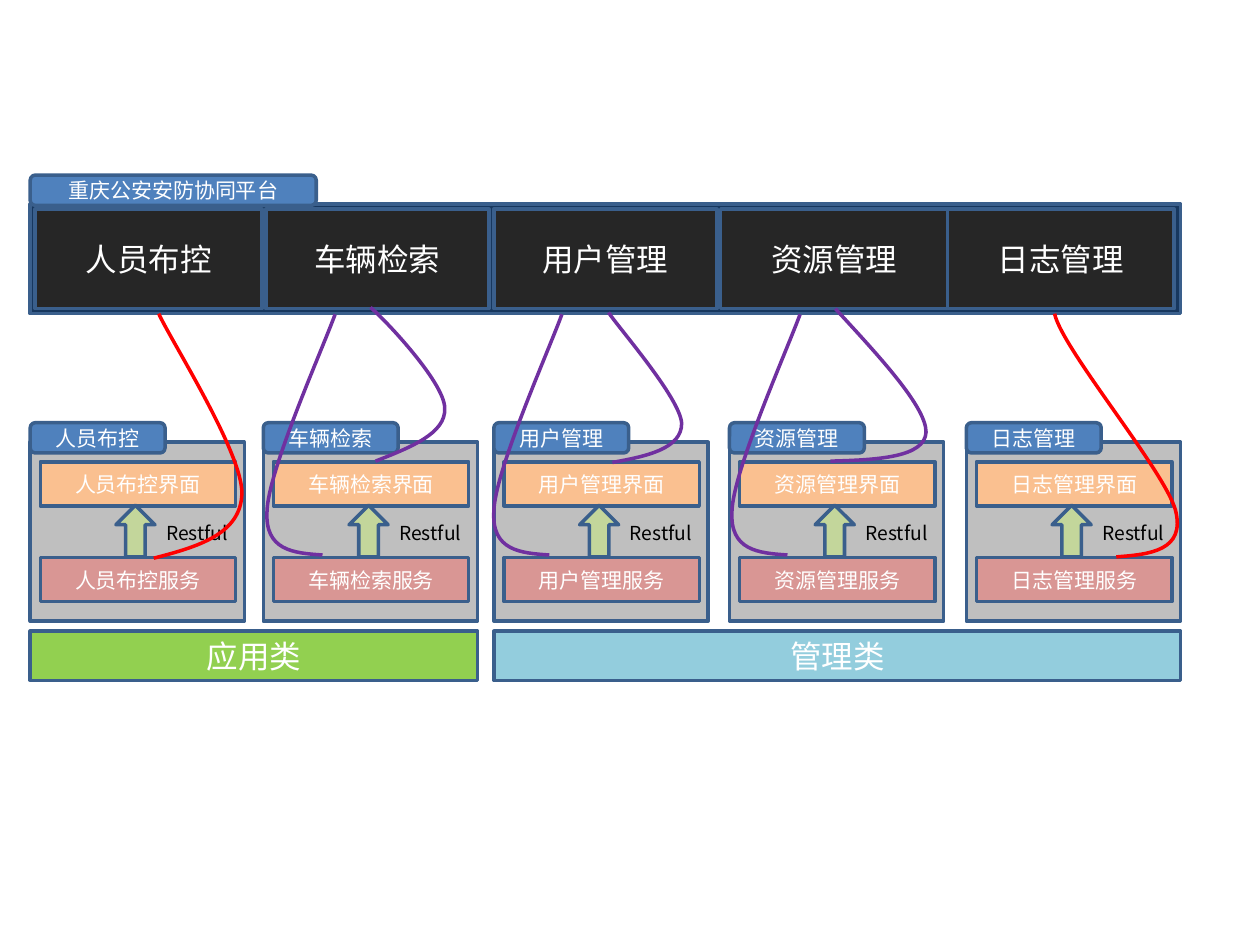
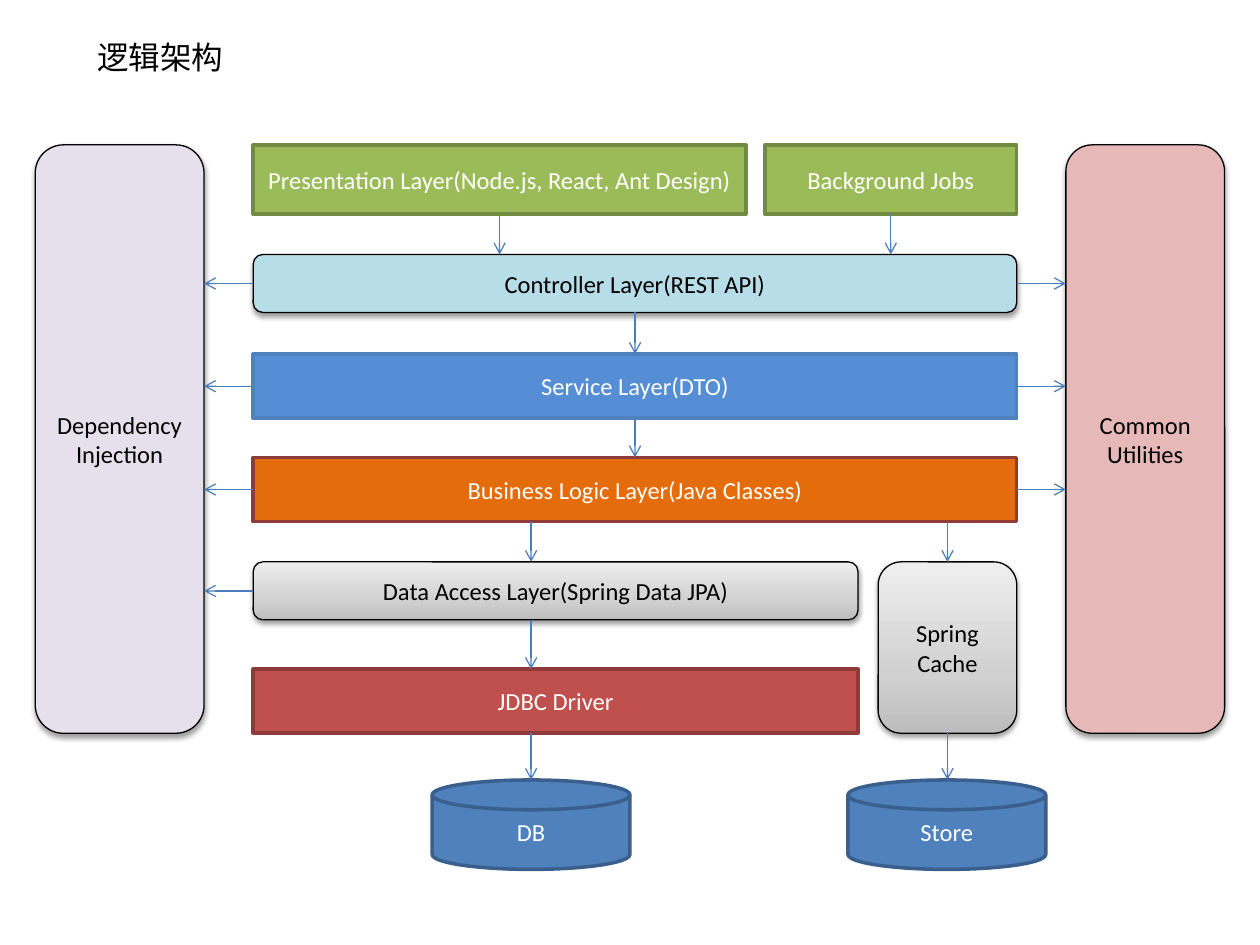
import dataclasses
import typing

import lxml.etree
import pptx
import pptx.dml.color
import pptx.enum.shapes
import pptx.enum.text
import pptx.oxml.ns
import pptx.slide
import pptx.util

SHAPES = pptx.enum.shapes.MSO_SHAPE
ALIGN = pptx.enum.text.PP_ALIGN
ANCHOR = pptx.enum.text.MSO_ANCHOR
qn = pptx.oxml.ns.qn

# The slide is a grid of 100 columns by 75 rows of square cells.
SLIDE_WIDTH = pptx.util.Inches(10)
SLIDE_HEIGHT = pptx.util.Inches(7.5)
CELL = SLIDE_WIDTH / 100

CHINESE_FONT = "Noto Sans CJK SC"
LATIN_FONT = "Calibri"
LAYOUT_TITLE_ONLY, LAYOUT_BLANK = 5, 6

COLORS = {
    "white": "FFFFFF", "black": "000000", "blue": "4F81BD", "border": "3A5F8C",
    "navy": "17375E", "tile": "262626", "card": "BFBFBF", "service": "D99694",
    "interface": "FAC090", "arrow": "C3D69B", "application": "92D050",
    "management": "93CDDD", "red": "FF0000", "purple": "7030A0",
    "green": "9BBB59", "dark_green": "738A42", "aqua": "B7DEE8",
    "bright_blue": "558ED5", "orange": "E46C0A", "brick": "C0504D",
    "dark_red": "8E3B39", "lavender": "E6E0EC", "pink": "E6B9B8",
    "connector": "4B7EBC",
}
GRAY_GRADIENT = ((0, "BDBDBD"), (35, "D1D1D1"), (100, "EEEEEE"))

Point = tuple[float, float]


@dataclasses.dataclass(frozen=True)
class Box:
    left: float
    top: float
    width: float
    height: float

    @property
    def right(self) -> float:
        return self.left + self.width

    @property
    def bottom(self) -> float:
        return self.top + self.height

    @property
    def center(self) -> float:
        return self.left + self.width / 2

    @property
    def middle(self) -> float:
        return self.top + self.height / 2

    def moved(self, columns: float) -> "Box":
        return dataclasses.replace(self, left=self.left + columns)


@dataclasses.dataclass(frozen=True)
class Style:
    """Look of a block; without a fill colour it gets the gray gradient."""
    fill: typing.Optional[str]
    line: str = "border"
    text: str = "white"
    size: float = 12
    font: str = CHINESE_FONT
    line_width: float = 2
    raised: bool = False
    geometry: SHAPES = SHAPES.FLOWCHART_PROCESS


def layer_style(fill: str, line: str, geometry: SHAPES = SHAPES.RECTANGLE) -> Style:
    return Style(fill, line, size=14, font=LATIN_FONT, geometry=geometry)


def raised_style(fill: typing.Optional[str]) -> Style:
    return Style(fill, "black", "black", 14, LATIN_FONT, 0.75, True, SHAPES.ROUNDED_RECTANGLE)


def cells(value: float) -> pptx.util.Emu:
    return pptx.util.Emu(round(value * CELL))


def rgb(name: str) -> pptx.dml.color.RGBColor:
    return pptx.dml.color.RGBColor.from_string(COLORS[name])


def place(box: Box) -> list[pptx.util.Emu]:
    return [cells(value) for value in dataclasses.astuple(box)]


def add_element(parent, tag: str, **attributes):
    values = {name: str(value) for name, value in attributes.items()}
    return lxml.etree.SubElement(parent, qn(tag), values)


def write(frame, text: str, style: Style, alignment: ALIGN) -> None:
    for index, line in enumerate(text.split("\n")):
        paragraph = frame.add_paragraph() if index else frame.paragraphs[0]
        paragraph.alignment = alignment
        run = paragraph.add_run()
        run.text = line
        run.font.size = pptx.util.Pt(style.size)
        run.font.color.rgb = rgb(style.text)
        run.font.name = style.font
        add_element(run.font._element, "a:ea", typeface=CHINESE_FONT)


def fill_with_gradient(shape) -> None:
    shape.fill.gradient()
    shape.fill.gradient_angle = 90
    stops = shape.element.spPr.find(qn("a:gradFill")).find(qn("a:gsLst"))
    for stop in list(stops):
        stops.remove(stop)
    for percent, color in GRAY_GRADIENT:
        stop = add_element(stops, "a:gs", pos=percent * 1000)
        add_element(stop, "a:srgbClr", val=color)


def add_shadow(shape) -> None:
    effects = shape.element.spPr.find(qn("a:effectLst"))
    shadow = add_element(effects, "a:outerShdw", blurRad=pptx.util.Pt(3.1),
                         dist=pptx.util.Pt(1.6), dir=90 * 60000, rotWithShape=0)
    color = add_element(shadow, "a:srgbClr", val=COLORS["black"])
    add_element(color, "a:alpha", val=38000)


def add_block(slide: pptx.slide.Slide, box: Box, style: Style, text: str = "") -> None:
    shape = slide.shapes.add_shape(style.geometry, *place(box))
    shape.shadow.inherit = False
    if style.fill is None:
        fill_with_gradient(shape)
    else:
        shape.fill.solid()
        shape.fill.fore_color.rgb = rgb(style.fill)
    shape.line.color.rgb = rgb(style.line)
    shape.line.width = pptx.util.Pt(style.line_width)
    if style.raised:
        add_shadow(shape)
    if text:
        shape.text_frame.word_wrap = True
        shape.text_frame.vertical_anchor = ANCHOR.MIDDLE
        write(shape.text_frame, text, style, ALIGN.CENTER)


def add_label(slide: pptx.slide.Slide, box: Box, text: str, style: Style) -> None:
    label = slide.shapes.add_textbox(*place(box))
    label.text_frame.word_wrap = False
    write(label.text_frame, text, style, ALIGN.LEFT)


def add_curve(slide: pptx.slide.Slide, color: str, points: typing.Sequence[Point]) -> None:
    """Draw a Bezier curve: a start, then two controls and an end per segment."""
    start, *others = [(cells(x), cells(y)) for x, y in points]
    builder = slide.shapes.build_freeform(*start, scale=1.0)
    builder.add_line_segments(others, close=False)
    curve = builder.convert_to_shape()
    curve.shadow.inherit = False
    curve.fill.background()
    curve.line.color.rgb = rgb(color)
    curve.line.width = pptx.util.Pt(2)
    outline = next(curve.element.iter(qn("a:path")))
    segments = outline.findall(qn("a:lnTo"))
    for first in range(0, len(segments), 3):
        bezier = add_element(outline, "a:cubicBezTo")
        for segment in segments[first:first + 3]:
            bezier.append(segment[0])
            outline.remove(segment)


def add_arrow(slide: pptx.slide.Slide, start: Point, end: Point) -> None:
    connector = slide.shapes.add_connector(
        pptx.enum.shapes.MSO_CONNECTOR.STRAIGHT, *[cells(value) for value in (*start, *end)])
    connector.line.color.rgb = rgb("connector")
    connector.line.width = pptx.util.Pt(0.75)
    properties = connector.element.spPr
    add_element(properties.find(qn("a:ln")), "a:tailEnd", type="arrow")
    add_element(properties, "a:effectLst")


# Modules of the platform: name, card left, tile left, tile width
MODULES = (
    ("人员布控", 2.4, 2.8, 18),
    ("车辆检索", 20.9, 21.1, 17.7),
    ("用户管理", 39.2, 39.2, 17.7),
    ("资源管理", 57.9, 57.2, 18),
    ("日志管理", 76.7, 75.2, 18),
)
TAB = Style("blue", geometry=SHAPES.ROUNDED_RECTANGLE)
TILE = Style("tile", size=18, geometry=SHAPES.RECTANGLE)
# Parts of a module, measured from its card's left edge: box, style, text
MODULE_PARTS = (
    (Box(0, 35.1, 17, 14.2), Style("card"), ""),
    (Box(0.8, 44.25, 15.5, 3.5), Style("service"), "{}服务"),
    (Box(0.8, 36.65, 15.5, 3.5), Style("interface"), "{}界面"),
    (Box(0, 33.55, 10.7, 2.4), TAB, "{}"),
    (Box(6.8, 40.1, 3.1, 4.1), Style("arrow", geometry=SHAPES.UP_ARROW), ""),
)
PROTOCOL_BOX = Box(9.8, 40.85, 7.1, 2.9)
CURVES = (
    ("red", ((12.2, 44.3), (15.7, 43.4), (19.1, 42.4), (19.2, 39.2),
             (19.3, 36), (13.6, 27.1), (12.6, 24.9))),
    ("purple", ((29.8, 36.6), (32.6, 35.5), (35.4, 34.4), (35.3, 32.4),
                (35.3, 30.3), (30.2, 25), (29.4, 24.4))),
    ("purple", ((48.6, 36.7), (51.4, 36.2), (54.1, 35.6), (54.1, 33.6),
                (54, 31.6), (49, 25.9), (48.3, 24.8))),
    ("purple", ((65.9, 36.6), (69.7, 36.5), (73.4, 36.3), (73.5, 34.3),
                (73.5, 32.3), (69.9, 28.4), (66.3, 24.5))),
    ("red", ((88.6, 44.2), (91.3, 44), (94.1, 43.7), (93.3, 40.5),
             (92.4, 37.3), (84.3, 27.7), (83.7, 24.9))),
)
SERVICE_CURVE = ((25.6, 44.05), (23.3, 43.9), (21, 43.7), (21.2, 40.55),
                 (21.3, 37.35), (25.5, 27.95), (26.6, 24.95))
SERVICE_CURVE_SHIFTS = (0, 18, 36.9)


def build_platform_slide(presentation) -> None:
    slide = presentation.slides.add_slide(presentation.slide_layouts[LAYOUT_BLANK])
    add_block(slide, Box(2.4, 16.2, 91.3, 8.7), Style("navy"))
    add_block(slide, Box(2.4, 13.9, 22.7, 2.4), TAB, "重庆公安安防协同平台")
    add_block(slide, Box(2.4, 50.1, 35.5, 3.9), Style("application", size=18), "应用类")
    add_block(slide, Box(39.2, 50.1, 54.5, 3.9), Style("management", size=18), "管理类")
    for name, card_left, tile_left, tile_width in MODULES:
        for box, style, text in MODULE_PARTS:
            add_block(slide, box.moved(card_left), style, text.format(name))
        add_label(slide, PROTOCOL_BOX.moved(card_left), "Restful",
                  Style(None, text="black", size=11))
        add_block(slide, Box(tile_left, 16.6, tile_width, 7.9), TILE, name)
    for color, points in CURVES:
        add_curve(slide, color, points)
    for shift in SERVICE_CURVE_SHIFTS:
        add_curve(slide, "purple", [(x + shift, y) for x, y in SERVICE_CURVE])


DISK = layer_style("blue", "border", SHAPES.FLOWCHART_MAGNETIC_DISK)
FRONT = layer_style("green", "dark_green")

DATABASE = Box(34.3, 61.9, 15.7, 7.1)
STORE = Box(67.3, 61.9, 15.7, 7.1)
DRIVER = Box(20.1, 53.1, 48, 5.1)
DATA_ACCESS = Box(20.1, 44.6, 48, 4.6)
CACHE = Box(69.7, 44.6, 11, 13.6)
BUSINESS = Box(20.1, 36.3, 60.6, 5.1)
SERVICE = Box(20.1, 28.1, 60.6, 5.1)
CONTROLLER = Box(20.1, 20.2, 60.6, 4.6)
FRONT_END = Box(20.1, 11.5, 39.1, 5.5)
JOBS = Box(60.7, 11.5, 20, 5.5)
INJECTION = Box(2.8, 11.5, 13.4, 46.7)
UTILITIES = Box(84.6, 11.5, 12.6, 46.7)

LAYERS = (
    (DATABASE, DISK, "DB"),
    (STORE, DISK, "Store"),
    (DRIVER, layer_style("brick", "dark_red"), "JDBC Driver"),
    (BUSINESS, layer_style("orange", "dark_red"), "Business Logic Layer(Java Classes)"),
    (DATA_ACCESS, raised_style(None), "Data Access Layer(Spring Data JPA)"),
    (SERVICE, layer_style("bright_blue", "blue"), "Service Layer(DTO)"),
    (CONTROLLER, raised_style("aqua"), "Controller Layer(REST API)"),
    (FRONT_END, FRONT, "Presentation Layer(Node.js, React, Ant Design)"),
    (JOBS, FRONT, "Background Jobs"),
    (INJECTION, raised_style("lavender"), "Dependency\nInjection"),
    (UTILITIES, raised_style("pink"), "Common Utilities"),
    (CACHE, raised_style(None), "Spring Cache"),
)
# Downward calls: upper block, lower block, block whose center they follow
CALLS = (
    (FRONT_END, CONTROLLER, FRONT_END),
    (JOBS, CONTROLLER, JOBS),
    (CONTROLLER, SERVICE, CONTROLLER),
    (SERVICE, BUSINESS, SERVICE),
    (BUSINESS, DATA_ACCESS, DATABASE),
    (DATA_ACCESS, DRIVER, DATABASE),
    (DRIVER, DATABASE, DATABASE),
    (BUSINESS, CACHE, CACHE),
    (CACHE, STORE, CACHE),
)


def set_title(slide: pptx.slide.Slide, text: str) -> None:
    title = slide.shapes.title
    title.left, title.top, title.width, title.height = place(Box(6.7, 2.5, 12.1, 4))
    frame = title.text_frame
    frame.word_wrap = False
    frame.auto_size = pptx.enum.text.MSO_AUTO_SIZE.NONE
    frame.vertical_anchor = ANCHOR.TOP
    write(frame, text, Style(None, text="black", size=18, font=LATIN_FONT), ALIGN.LEFT)


def build_architecture_slide(presentation) -> None:
    slide = presentation.slides.add_slide(presentation.slide_layouts[LAYOUT_TITLE_ONLY])
    set_title(slide, "逻辑架构")
    for box, style, text in LAYERS:
        add_block(slide, box, style, text)
    for upper, lower, guide in CALLS:
        add_arrow(slide, (guide.center, upper.bottom), (guide.center, lower.top))
    for layer in (CONTROLLER, SERVICE, BUSINESS, DATA_ACCESS):
        add_arrow(slide, (layer.left, layer.middle), (INJECTION.right, layer.middle))
    for layer in (CONTROLLER, SERVICE, BUSINESS):
        add_arrow(slide, (layer.right, layer.middle), (UTILITIES.left, layer.middle))


def main() -> None:
    presentation = pptx.Presentation()
    presentation.slide_width = SLIDE_WIDTH
    presentation.slide_height = SLIDE_HEIGHT
    build_platform_slide(presentation)
    build_architecture_slide(presentation)
    presentation.save("out.pptx")


if __name__ == "__main__":
    main()
